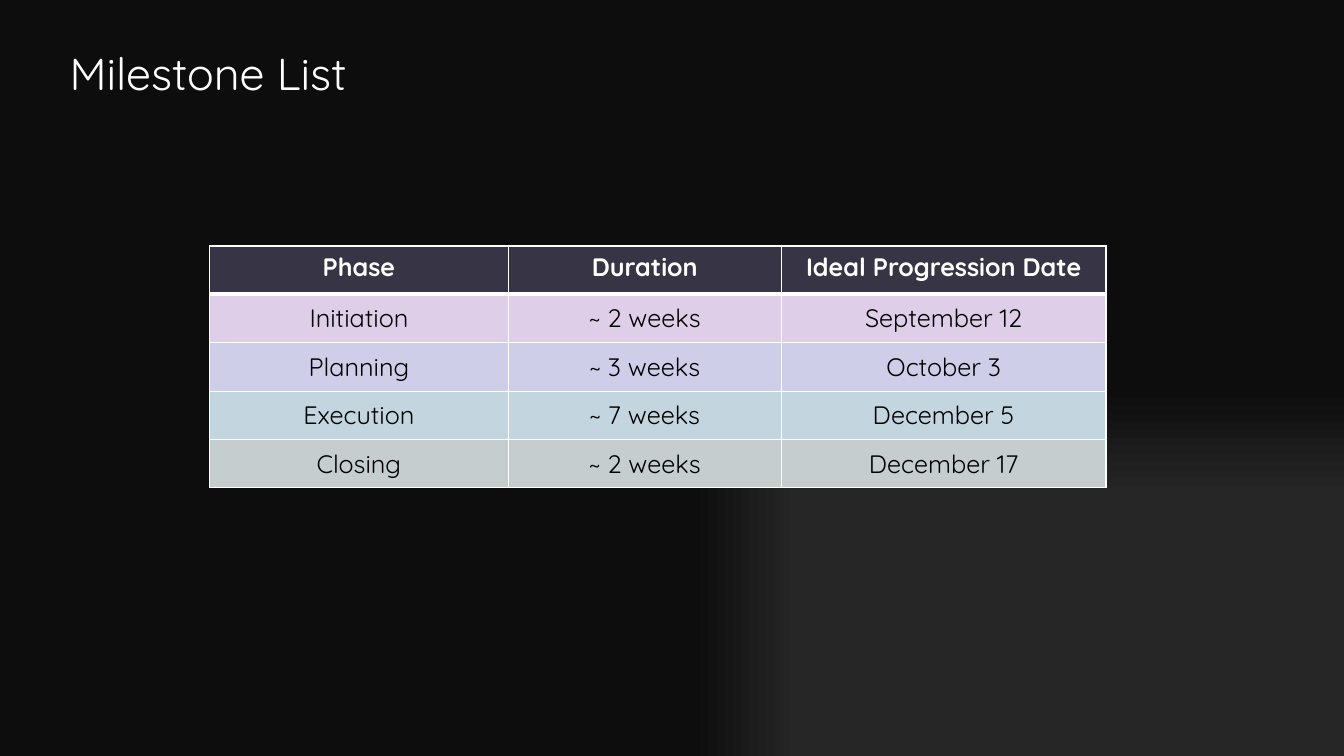
from dataclasses import dataclass

from lxml.etree import SubElement
from pptx import Presentation
from pptx.dml.color import RGBColor as RGB
from pptx.enum.text import MSO_ANCHOR as Anchor, MSO_AUTO_SIZE as AutoSize, PP_ALIGN as Align
from pptx.oxml import parse_xml
from pptx.oxml.ns import nsdecls, qn
from pptx.slide import Slide
from pptx.table import _Cell as Cell
from pptx.util import Inches, Pt


@dataclass(frozen=True)
class Theme:
    font: str = "Quicksand"
    title_size: int = 32
    table_size: int = 18
    light: str = "FFFFFF"
    dark: str = "000000"
    header: str = "373545"
    glow: str = "262626"
    backdrop: str = "0D0D0D"
    thin: int = 1
    thick: int = 3


@dataclass(frozen=True)
class Row:
    values: tuple[str, str, str]
    fill: str
    color: str = "000000"
    bold: bool = False
    anchor: Anchor = Anchor.MIDDLE
    top: int = 1
    bottom: int = 1


THEME = Theme()
ROWS = (
    Row(("Phase", "Duration", "Ideal Progression Date"), THEME.header, THEME.light,
        True, Anchor.TOP, bottom=THEME.thick),
    Row(("Initiation", "~ 2 weeks", "September 12"), "DECEE8", top=THEME.thick),
    Row(("Planning", "~ 3 weeks", "October 3"), "CFCEE9"),
    Row(("Execution", "~ 7 weeks", "December 5"), "C3D5DF"),
    Row(("Closing", "~ 2 weeks", "December 17"), "C5CDCE"),
)
COLUMN_WIDTHS = (2.96, 2.71, 3.22)
ROW_HEIGHT = 0.48
GLOW_STOPS = (0, 23, 69)


def apply(target: object, formats: dict) -> None:
    for name, value in formats.items():
        setattr(target, name, value)


def format_font(font: object, size: int, color: str, bold: bool = False) -> None:
    apply(font, {"name": THEME.font, "size": Pt(size), "bold": bold})
    font.color.rgb = RGB.from_string(color)


def paint_background(s: Slide) -> None:
    s.background.fill.solid()
    bg = s.element.find(".//" + qn("p:bgPr"))
    stops = [(pos, THEME.glow) for pos in GLOW_STOPS] + [(97, THEME.backdrop)]
    gs = "".join(
        f'<a:gs pos="{pos * 1000}"><a:srgbClr val="{color}"/></a:gs>' for pos, color in stops
    )
    bg.replace(bg[0], parse_xml(
        f'<a:gradFill {nsdecls("a")} rotWithShape="1"><a:gsLst>{gs}</a:gsLst>'
        '<a:path path="rect"><a:fillToRect l="100000" t="100000"/></a:path></a:gradFill>'
    ))


def add_title(s: Slide, text: str) -> None:
    sp = s.shapes.title
    apply(sp, {"left": Inches(0.59), "top": Inches(0.4),
               "width": Inches(7.25), "height": Inches(0.64)})
    tf = sp.text_frame
    apply(tf, {"text": text, "word_wrap": True, "vertical_anchor": Anchor.TOP,
               "auto_size": AutoSize.SHAPE_TO_FIT_TEXT})
    p = tf.paragraphs[0]
    p.alignment = Align.LEFT
    format_font(p.runs[0].font, THEME.title_size, THEME.light)


def add_borders(cell: Cell, row: Row) -> None:
    tc_pr = cell._tc.get_or_add_tcPr()
    widths = {"lnL": THEME.thin, "lnR": THEME.thin, "lnT": row.top, "lnB": row.bottom}
    for tag, width in widths.items():
        ln = SubElement(tc_pr, qn(f"a:{tag}"), w=str(Pt(width)))
        fill = SubElement(ln, qn("a:solidFill"))
        SubElement(fill, qn("a:srgbClr"), val=THEME.light)


def fill_cell(cell: Cell, text: str, row: Row) -> None:
    add_borders(cell, row)
    cell.fill.solid()
    cell.fill.fore_color.rgb = RGB.from_string(row.fill)
    apply(cell, {"text": text, "vertical_anchor": row.anchor})
    p = cell.text_frame.paragraphs[0]
    p.alignment = Align.CENTER
    format_font(p.runs[0].font, THEME.table_size, row.color, row.bold)


def add_milestones(s: Slide) -> None:
    table = s.shapes.add_table(
        len(ROWS), len(COLUMN_WIDTHS), Inches(2.08), Inches(2.44),
        Inches(sum(COLUMN_WIDTHS)), Inches(ROW_HEIGHT * len(ROWS)),
    ).table
    for column, width in zip(table.columns, COLUMN_WIDTHS):
        column.width = Inches(width)
    for r, row in enumerate(ROWS):
        for c, text in enumerate(row.values):
            fill_cell(table.cell(r, c), text, row)


def main() -> None:
    prs = Presentation()
    apply(prs, {"slide_width": Inches(13.33), "slide_height": Inches(7.5)})
    s = prs.slides.add_slide(prs.slide_layouts[5])
    paint_background(s)
    add_title(s, "Milestone List")
    add_milestones(s)
    prs.save("out.pptx")


if __name__ == "__main__":
    main()
